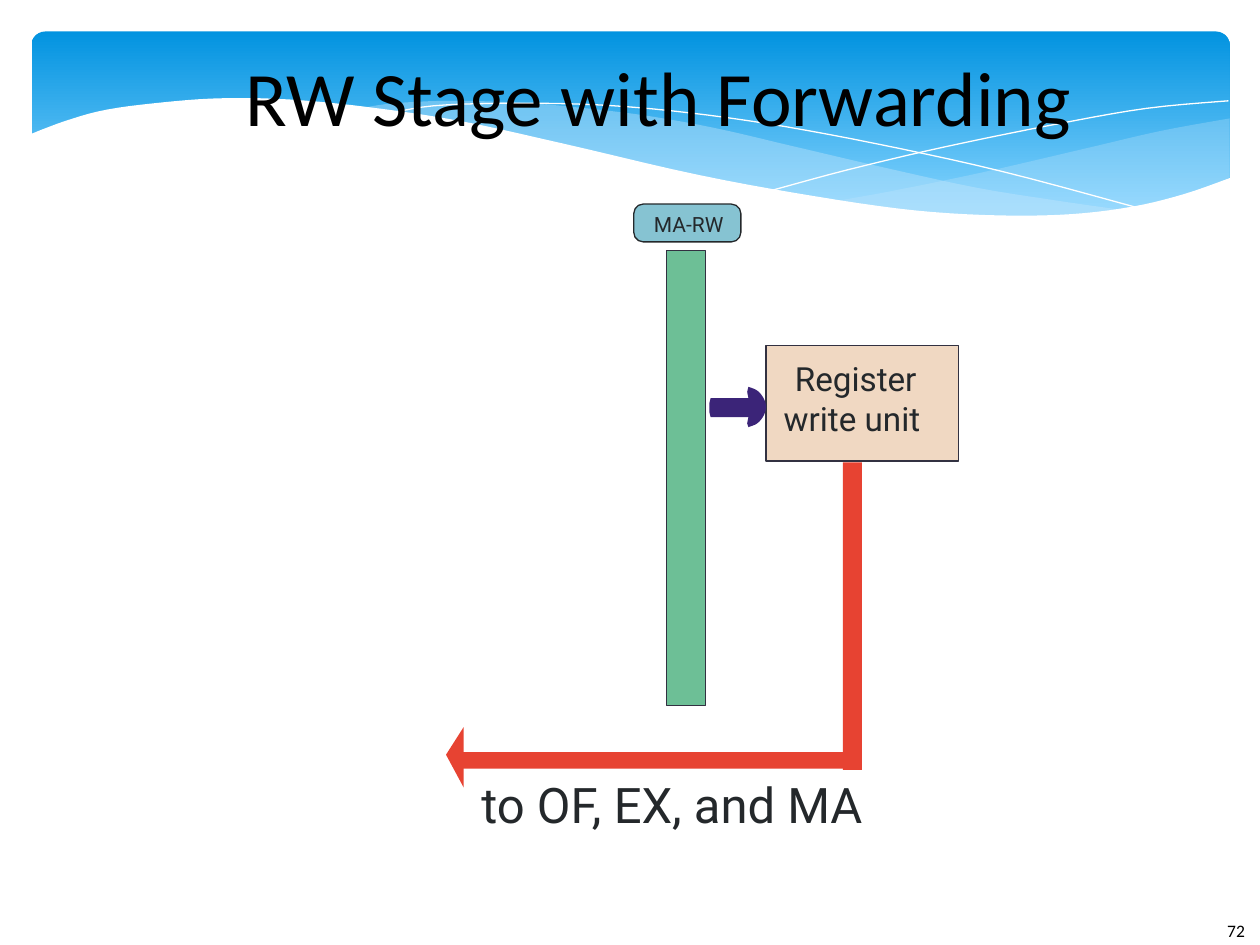
from lxml.etree import SubElement
from pptx import Presentation
from pptx.dml.color import RGBColor
from pptx.enum.shapes import MSO_SHAPE as SHAPE
from pptx.enum.text import MSO_ANCHOR as ANCHOR, PP_ALIGN as ALIGN
from pptx.oxml.ns import qn
from pptx.util import Inches, Pt

W, H = 10, 7.5
INK, EDGE, RED, PALE, WHITE = "24282B", "323141", "E74332", "C6E7FC", "FFFFFF"
BANNER = (0.25, 0.25, 9.51, 1.56)
BANNER_STOPS = [(0, "0293E0"), (0.9, "83D3FE")]

RIGHT_TOP = [(9.76, 0.94), (9.21, 1.04), (8.61, 1.18), (7.79, 1.37), (7.06, 1.52), (6.61, 1.6)]
RIGHT_BOTTOM = [(6.61, 1.6), (7.19, 1.67), (7.69, 1.71), (8.14, 1.72), (8.63, 1.7),
                (9.05, 1.63), (9.42, 1.54), (9.76, 1.41)]
MID_TOP = [(8.93, 1.67), (8.37, 1.59), (7.75, 1.49), (7.06, 1.34), (6.29, 1.16), (5.69, 1.02),
           (5.14, 0.92), (4.65, 0.86), (4.2, 0.82), (3.61, 0.8), (3.13, 0.82), (2.86, 0.86)]
MID_BOTTOM = [(2.86, 0.86), (3.42, 0.94), (4.04, 1.06), (4.91, 1.26), (5.66, 1.43), (6.34, 1.56),
              (6.95, 1.65), (7.48, 1.7), (8.07, 1.73), (8.57, 1.71), (8.93, 1.67)]
FALLING = [(3.09, 0.9), (3.44, 0.84), (4.01, 0.82), (4.69, 0.83), (5.33, 0.88), (6.08, 0.98),
           (6.95, 1.14), (7.95, 1.36), (9.07, 1.66)]
RISING = [(6.13, 1.51), (6.72, 1.35), (7.48, 1.17), (8.36, 0.99), (9.1, 0.86), (9.75, 0.8)]
WAVE = [(9.77, 1.41), (9.4, 1.54), (8.99, 1.64), (8.5, 1.7), (7.93, 1.71), (7.26, 1.67),
        (6.48, 1.56), (5.55, 1.39), (4.47, 1.14), (3.65, 0.96), (2.92, 0.85), (2.3, 0.79),
        (1.77, 0.78), (1.32, 0.81), (0.85, 0.87), (0.52, 0.96), (0.23, 1.07)]
WRITE_HEAD = [(5.94, 3.07), (6.01, 3.1), (6.06, 3.16), (6.08, 3.23), (6.06, 3.3), (6.01, 3.36), (5.94, 3.39)]
WRITE_TAIL = [(5.93, 3.36), (5.94, 3.31), (5.64, 3.31), (5.63, 3.27), (5.63, 3.2), (5.64, 3.16),
              (5.94, 3.16), (5.93, 3.11)]
FORWARD_HEAD = [(3.54, 5.99), (3.68, 6.25), (3.68, 5.77)]

BOXES = [
    (SHAPE.RECTANGLE, (5.29, 1.99, 0.31, 3.61), "6DBF96", EDGE),
    (SHAPE.ROUNDED_RECTANGLE, (5.03, 1.62, 0.85, 0.3), "86C3D2", INK),
    (SHAPE.RECTANGLE, (6.08, 2.74, 1.53, 0.92), "F0D8C2", EDGE),
    (SHAPE.RECTANGLE, (6.69, 3.67, 0.15, 2.44), RED, None),
    (SHAPE.RECTANGLE, (3.65, 5.97, 3.14, 0.13), RED, None),
]
TEXTS = [
    ("RW Stage with Forwarding", (1.17, 0.25, 8.11, 1.02), 44, "Calibri", "000000"),
    ("72", (9.74, 7.3, 0.2, 0.17), 10, "Calibri", "000000"),
    ("MA-RW", (5.19, 1.68, 0.64, 0.22), 12, "Roboto", INK),
    ("Register", (6.31, 2.84, 1.23, 0.35), 19, "Roboto", INK),
    ("write unit", (6.22, 3.16, 1.31, 0.35), 19, "Roboto", INK),
    ("to OF, EX, and MA", (3.82, 6.15, 3.25, 0.47), 28, "Roboto", INK),
]


def rgb(color):
    return RGBColor.from_string(color)


def smooth(knots, steps=5):
    """Return points on a Catmull-Rom curve through the knots."""
    ends = [knots[0], *knots, knots[-1]]
    curve = []
    for a, b, c, d in zip(ends, ends[1:], ends[2:], ends[3:]):
        for t in (i / steps for i in range(steps)):
            curve.append(tuple(
                (2 * q + (r - p) * t + (2 * p - 5 * q + 4 * r - s) * t ** 2
                 + (3 * q - p - 3 * r + s) * t ** 3) / 2
                for p, q, r, s in zip(a, b, c, d)))
    return curve + [knots[-1]]


def paint(sp, fill=None, line=None, alpha=None):
    sp.shadow.inherit = False
    if fill:
        sp.fill.solid()
        sp.fill.fore_color.rgb = rgb(fill)
    else:
        sp.fill.background()
    if alpha:
        color = sp.fill._xPr.find(qn("a:solidFill"))[0]
        SubElement(color, qn("a:alpha"), val=str(alpha * 1000))
    if line:
        sp.line.color.rgb = rgb(line)
        sp.line.width = Pt(0)
    else:
        sp.line.fill.background()


def add_outline(shapes, points, closed=True, **style):
    start, *rest = [(Inches(x), Inches(y)) for x, y in points]
    builder = shapes.build_freeform(*start)
    builder.add_line_segments(rest, close=closed)
    paint(builder.convert_to_shape(), **style)


def add_box(shapes, kind, at, fill, line):
    sp = shapes.add_shape(kind, *map(Inches, at))
    if kind == SHAPE.ROUNDED_RECTANGLE:
        sp.adjustments[0] = 0.25
    paint(sp, fill, line)


def add_banner(shapes):
    sp = shapes.add_shape(SHAPE.ROUNDED_RECTANGLE, *map(Inches, BANNER))
    sp.adjustments[0] = 0.07
    paint(sp)
    sp.fill.gradient()
    sp.fill.gradient_angle = 270
    for stop, (position, color) in zip(sp.fill.gradient_stops, BANNER_STOPS):
        stop.position = position
        stop.color.rgb = rgb(color)
    add_outline(shapes, smooth(RIGHT_TOP) + smooth(RIGHT_BOTTOM), fill=PALE, alpha=29)
    add_outline(shapes, smooth(MID_TOP) + smooth(MID_BOTTOM), fill=PALE, alpha=40)
    for knots in (FALLING, RISING):
        add_outline(shapes, smooth(knots), closed=False, line=WHITE)
    add_outline(shapes, smooth(WAVE) + [(0.23, 2.24), (9.77, 2.24)], fill=WHITE)


def add_text(shapes, text, at, size, font, color):
    is_title = size == 44
    tf = shapes.add_textbox(*map(Inches, at)).text_frame
    tf.margin_left = tf.margin_right = tf.margin_top = tf.margin_bottom = 0
    tf.word_wrap = is_title
    tf.vertical_anchor = ANCHOR.MIDDLE if is_title else ANCHOR.TOP
    tf.text = text
    p = tf.paragraphs[0]
    p.alignment = ALIGN.CENTER if is_title else ALIGN.LEFT
    f = p.runs[0].font
    f.size, f.name, f.color.rgb = Pt(size), font, rgb(color)


def main():
    prs = Presentation()
    prs.slide_width, prs.slide_height = Inches(W), Inches(H)
    shapes = prs.slides.add_slide(prs.slide_layouts[6]).shapes
    add_banner(shapes)
    for box in BOXES:
        add_box(shapes, *box)
    add_outline(shapes, FORWARD_HEAD, fill=RED)
    add_outline(shapes, smooth(WRITE_HEAD) + WRITE_TAIL, fill="3B2478")
    for text in TEXTS:
        add_text(shapes, *text)
    prs.save("out.pptx")


if __name__ == "__main__":
    main()
